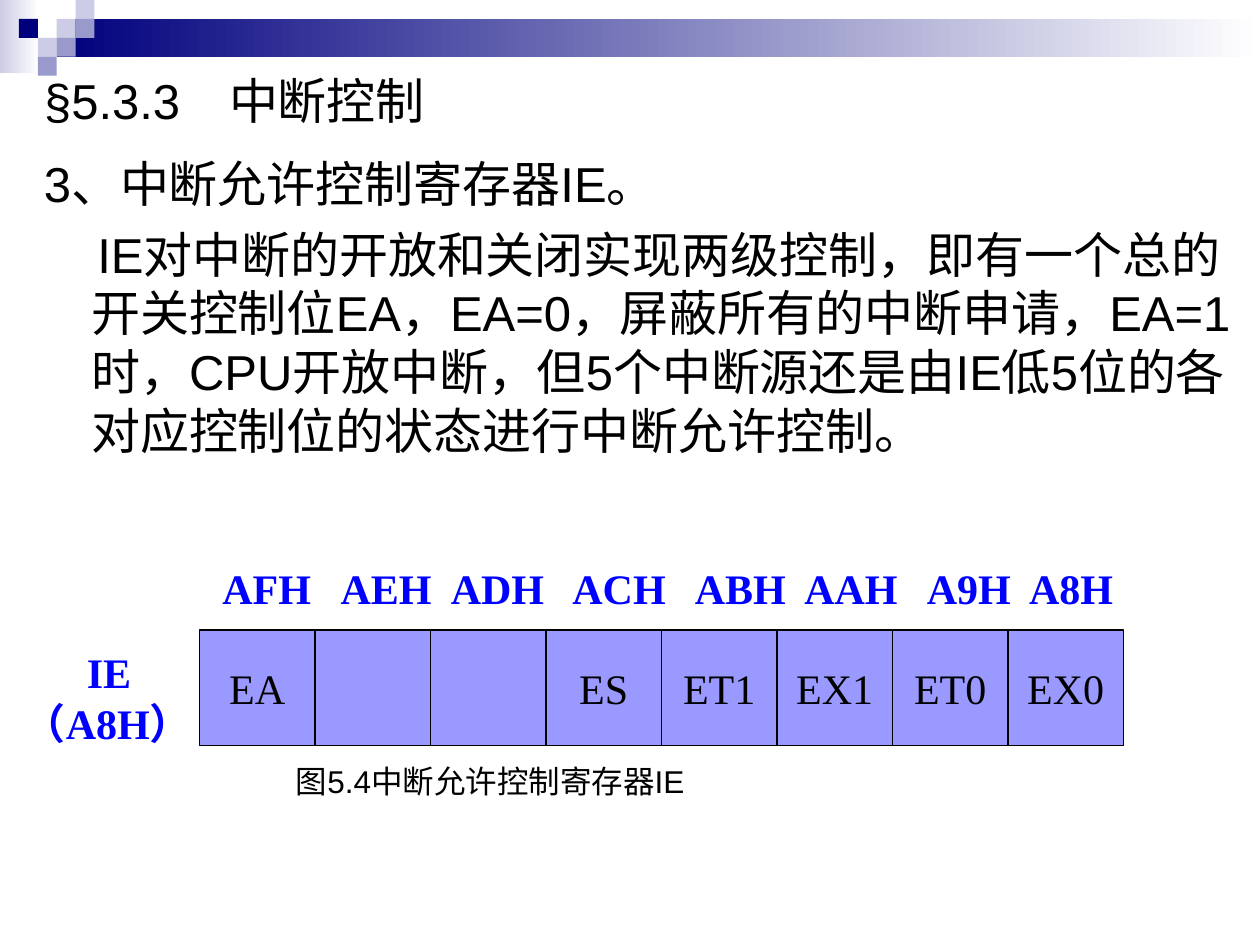
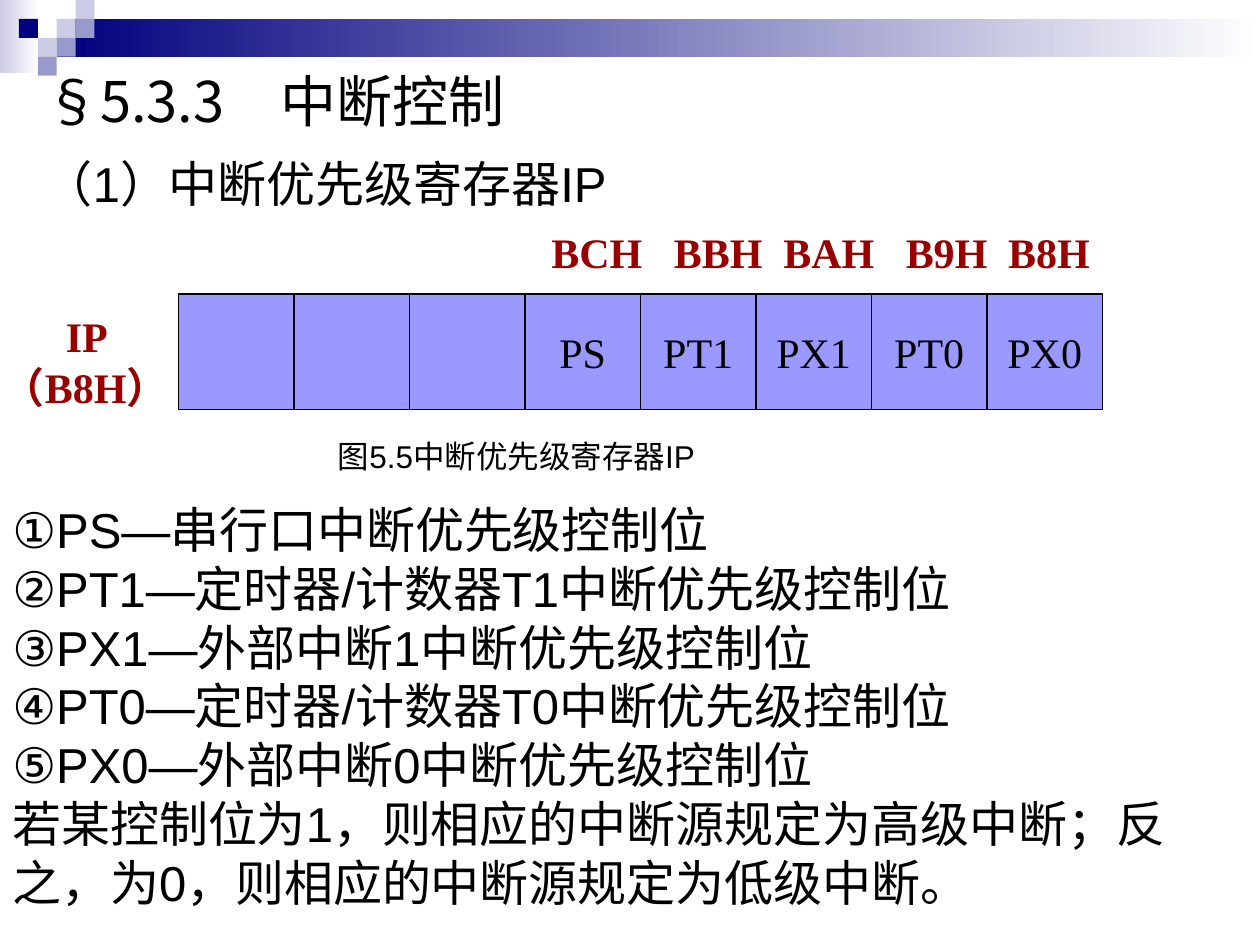
from dataclasses import dataclass

from lxml import etree
from pptx import Presentation
from pptx.dml.color import RGBColor
from pptx.enum.shapes import MSO_SHAPE as SHAPE
from pptx.enum.text import MSO_ANCHOR as ANCHOR, MSO_AUTO_SIZE as AUTO, PP_ALIGN as ALIGN
from pptx.oxml.ns import qn
from pptx.util import Pt


@dataclass(frozen=True)
class Theme:
    black: str = "000000"
    white: str = "FFFFFF"
    navy: str = "00007D"
    pale: str = "CCCCE6"
    mid: str = "9999CC"
    cell: str = "9999FF"
    blue: str = "0000FF"
    red: str = "990000"
    sans: str = "Arial"
    cjk: str = "Noto Sans CJK SC"
    serif: str = "Times New Roman"
    body: int = 28
    register: int = 24
    caption: int = 18
    leading: float = 1.2


T = Theme()
WIDTH, HEIGHT = 720, 540
UNIT = 10.8  # side of a corner square
CELL = 66  # side of a register bit
ADDRESS_OFFSETS = (0, 67.5, 130.5, 200, 270, 332.5, 402.5, 461)
CORNER_SQUARES = (  # column, row, colour
    (3, 1, T.pale), (4, 0, T.pale), (4, 1, T.mid), (2, 2, T.pale),
    (1, 1, T.navy), (3, 2, T.mid), (2, 3, T.mid),
)


def rgb(color):
    return RGBColor.from_string(color)


def write(tf, text, size=T.body, font=T.sans, east_asian=None, color=T.black,
          bold=False, align=ALIGN.LEFT, leading=True, before=0, left=0, first=0):
    """Add one paragraph, using the frame's empty first paragraph if there is one."""
    p = tf.paragraphs[0]
    if p.runs:
        p = tf.add_paragraph()
    p.alignment = align
    p.space_before = Pt(before)
    if leading:
        p.line_spacing = Pt(round(size * T.leading, 1))
    props = p._p.get_or_add_pPr()
    props.set("marL", str(Pt(left)))
    props.set("indent", str(Pt(first)))
    r = p.add_run()
    r.text = text
    r.font.size = Pt(size)
    r.font.name = font
    r.font.bold = bold
    r.font.color.rgb = rgb(color)
    etree.SubElement(r._r.get_or_add_rPr(), qn("a:ea"), typeface=east_asian or font)


def add_text_frame(slide, x, y, w, h):
    tf = slide.shapes.add_textbox(Pt(x), Pt(y), Pt(w), Pt(h)).text_frame
    tf.word_wrap = True
    return tf


def add_rect(slide, x, y, w, h, fill, fade_to=None, line=None):
    sp = slide.shapes.add_shape(SHAPE.RECTANGLE, Pt(x), Pt(y), Pt(w), Pt(h))
    sp.shadow.inherit = False
    if fade_to:
        sp.fill.gradient()
        sp.fill.gradient_angle = 0
        for stop, color in zip(sp.fill.gradient_stops, (fill, fade_to)):
            stop.color.rgb = rgb(color)
    else:
        sp.fill.solid()
        sp.fill.fore_color.rgb = rgb(fill)
    if line:
        sp.line.color.rgb = rgb(line)
        sp.line.width = Pt(0.75)
    else:
        sp.line.fill.background()
    return sp


def decorate_layout(layout, slide):
    """Draw the header band on the slide, then move it to the shared layout."""
    band = [
        add_rect(slide, 0, 0, 22.3, 41.8, T.pale, fade_to=T.white),
        add_rect(slide, 3 * UNIT, UNIT, WIDTH - 3 * UNIT, 2 * UNIT, T.navy, fade_to=T.white),
    ]
    band += [add_rect(slide, col * UNIT, row * UNIT, UNIT, UNIT, color)
             for col, row, color in CORNER_SQUARES]
    for sp in band:
        layout.shapes.element.append(sp.element)


def set_title(slide, text, **fmt):
    title = slide.shapes.title
    title.left, title.top, title.width, title.height = Pt(18), Pt(36), Pt(702), Pt(42)
    tf = title.text_frame
    tf.auto_size = AUTO.NONE
    tf.vertical_anchor = ANCHOR.MIDDLE
    write(tf, text, leading=False, **fmt)


def add_body(slide, height, heading, detail=None):
    tf = add_text_frame(slide, 18, 84, 702, height)
    write(tf, heading, before=7, left=27, first=-27)
    if detail:
        write(tf, detail, before=7, left=27, first=3.5)


def add_register(slide, x, y, name, address, bits, bit_addresses, color):
    """Draw a row of bit cells with the register's name and the bit addresses."""
    for i, bit in enumerate(bits):
        sp = add_rect(slide, x + i * CELL, y, CELL, CELL, T.cell, line=T.black)
        if bit:
            tf = sp.text_frame
            tf.word_wrap = False
            tf.vertical_anchor = ANCHOR.MIDDLE
            write(tf, bit, T.register, T.serif, align=ALIGN.CENTER)

    label = dict(size=T.register, font=T.serif, east_asian=T.cjk, color=color, bold=True)
    tf = add_text_frame(slide, x - 107.5, y + 6, 132, 65)
    write(tf, name, left=36, **label)
    write(tf, f"（{address}）", **label)

    for offset, bit_address in zip(ADDRESS_OFFSETS, bit_addresses):
        if bit_address:
            tf = add_text_frame(slide, x + 6 + offset, y - 42, 74, 36)
            write(tf, bit_address, **label)


def add_caption(slide, x, y, w, text):
    write(add_text_frame(slide, x, y, w, 29), text, T.caption)


def build_ie_slide(slide):
    set_title(slide, "§5.3.3　中断控制")
    add_body(slide, 192, "3、中断允许控制寄存器IE。",
             "IE对中断的开放和关闭实现两级控制，即有一个总的开关控制位EA，"
             "EA=0，屏蔽所有的中断申请，EA=1时，CPU开放中断，"
             "但5个中断源还是由IE低5位的各对应控制位的状态进行中断允许控制。")
    add_register(slide, 114, 360, "IE", "A8H",
                 ["EA", "", "", "ES", "ET1", "EX1", "ET0", "EX0"],
                 ["AFH", "AEH", "ADH", "ACH", "ABH", "AAH", "A9H", "A8H"], T.blue)
    add_caption(slide, 162, 432, 450, "图5.4中断允许控制寄存器IE")


def build_ip_slide(slide):
    set_title(slide, "§5.3.3　中断控制", size=32, font=T.cjk)
    add_body(slide, 42, "（1）中断优先级寄存器IP")
    add_register(slide, 102, 168, "IP", "B8H",
                 ["", "", "", "PS", "PT1", "PX1", "PT0", "PX0"],
                 ["", "", "", "BCH", "BBH", "BAH", "B9H", "B8H"], T.red)
    tf = add_text_frame(slide, 0, 282, 700, 243)
    for line in (
        "①PS—串行口中断优先级控制位",
        "②PT1—定时器/计数器T1中断优先级控制位",
        "③PX1—外部中断1中断优先级控制位",
        "④PT0—定时器/计数器T0中断优先级控制位",
        "⑤PX0—外部中断0中断优先级控制位",
        "若某控制位为1，则相应的中断源规定为高级中断；反之，为0，则相应的中断源规定为低级中断。",
    ):
        write(tf, line)
    add_caption(slide, 186, 246, 378, "图5.5中断优先级寄存器IP")


def main():
    prs = Presentation()
    prs.slide_width, prs.slide_height = Pt(WIDTH), Pt(HEIGHT)
    layout = prs.slide_layouts.get_by_name("Title Only")
    ie_slide = prs.slides.add_slide(layout)
    ip_slide = prs.slides.add_slide(layout)
    decorate_layout(layout, ie_slide)
    build_ie_slide(ie_slide)
    build_ip_slide(ip_slide)
    prs.save("out.pptx")


if __name__ == "__main__":
    main()
